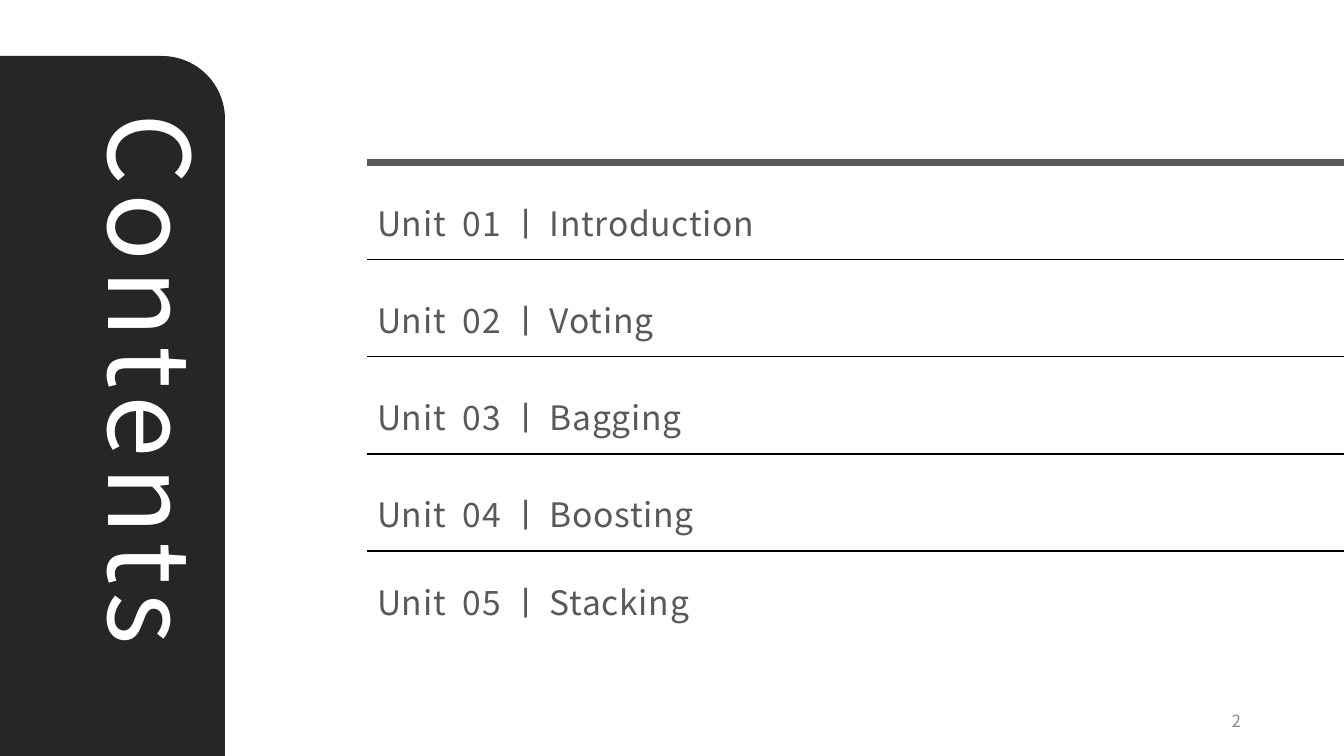
from dataclasses import dataclass

from lxml.etree import SubElement
from pptx import Presentation
from pptx.dml.color import RGBColor
from pptx.enum.shapes import MSO_CONNECTOR, MSO_SHAPE
from pptx.enum.text import MSO_ANCHOR, MSO_AUTO_SIZE, PP_ALIGN
from pptx.oxml.ns import qn
from pptx.util import Emu, Pt

HEADING = "Contents"
UNITS = [
    "Unit  01 ㅣ Introduction",
    "Unit  02 ㅣ Voting",
    "Unit  03 ㅣ Bagging",
    "Unit  04 ㅣ Boosting",
    "Unit  05 ㅣ Stacking",
]
PAGE_NUMBER = "2"


@dataclass(frozen=True)
class Theme:
    font: str = "Noto Sans CJK KR"
    panel: str = "262626"
    heading: str = "FFFFFF"
    unit: str = "595959"
    rule: str = "000000"
    page: str = "8C8C8C"
    heading_size: int = 80
    unit_size: int = 24
    page_size: int = 12


THEME = Theme()

# Layout in px
SLIDE_W, SLIDE_H = 1344, 756
PANEL_W, PANEL_TOP, CORNER = 225, 56, 64
LIST_LEFT, LIST_TOP, LIST_W, LIST_H = 367, 198, 951, 440
FIRST_RULE, ROW_PITCH = 163, 97
# Space between units, in points
UNIT_GAP, LAST_GAP = 40.5, 33.8


def px(length):
    return Emu(round(length * 914400 / 100.8))


def rgb(code):
    return RGBColor.from_string(code)


def place(shape, left, top, width, height):
    shape.left, shape.top = px(left), px(top)
    shape.width, shape.height = px(width), px(height)


def add_text(paragraph, text, size, color, spacing=0):
    """Add one run; spacing is the letter spacing in points."""
    run = paragraph.add_run()
    run.text = text
    run.font.size = Pt(size)
    run.font.color.rgb = rgb(color)
    run.font.name = THEME.font
    properties = run.font._element
    SubElement(properties, qn("a:ea")).set("typeface", THEME.font)
    if spacing:
        properties.set("spc", str(round(spacing * 100)))


def add_panel(slide):
    panel = slide.shapes.add_shape(
        MSO_SHAPE.ROUND_1_RECTANGLE,
        px(0), px(PANEL_TOP), px(PANEL_W), px(SLIDE_H - PANEL_TOP))
    panel.adjustments[0] = round(CORNER / PANEL_W, 2)
    panel.shadow.inherit = False
    panel.fill.solid()
    panel.fill.fore_color.rgb = rgb(THEME.panel)
    panel.line.fill.background()
    # Behind the placeholders
    slide.shapes._spTree.insert(2, panel._element)


def add_heading(title):
    place(title, -199, 382, 703, 146)
    title.rotation = 90
    frame = title.text_frame
    frame.vertical_anchor = MSO_ANCHOR.TOP
    frame.auto_size = MSO_AUTO_SIZE.SHAPE_TO_FIT_TEXT
    paragraph = frame.paragraphs[0]
    paragraph.alignment = PP_ALIGN.LEFT
    add_text(paragraph, HEADING, THEME.heading_size, THEME.heading, 6)


def add_units(body):
    place(body, LIST_LEFT, LIST_TOP, LIST_W, LIST_H)
    frame = body.text_frame
    frame.auto_size = MSO_AUTO_SIZE.NONE
    frame.vertical_anchor = MSO_ANCHOR.TOP
    gaps = [0] + [UNIT_GAP] * (len(UNITS) - 2) + [LAST_GAP]
    for index, (unit, gap) in enumerate(zip(UNITS, gaps)):
        paragraph = frame.add_paragraph() if index else frame.paragraphs[0]
        paragraph.space_before = Pt(gap)
        properties = paragraph._p.get_or_add_pPr()
        properties.set("marL", "0")
        properties.set("indent", "0")
        SubElement(properties, qn("a:buNone"))
        add_text(paragraph, unit, THEME.unit_size, THEME.unit, 0.5)


def add_rules(slide):
    for index in range(len(UNITS)):
        y = px(FIRST_RULE + index * ROW_PITCH)
        rule = slide.shapes.add_connector(
            MSO_CONNECTOR.STRAIGHT, px(LIST_LEFT), y, px(SLIDE_W), y)
        rule.line.color.rgb = rgb(THEME.rule if index else THEME.unit)
        rule.line.width = Pt(0.75 if index else 5)
        SubElement(rule._element.spPr, qn("a:effectLst"))


def add_page_number(slide):
    box = slide.shapes.add_textbox(px(949), px(701), px(302), px(40))
    frame = box.text_frame
    frame.word_wrap = True
    frame.vertical_anchor = MSO_ANCHOR.MIDDLE
    paragraph = frame.paragraphs[0]
    paragraph.alignment = PP_ALIGN.RIGHT
    add_text(paragraph, PAGE_NUMBER, THEME.page_size, THEME.page)


def main():
    deck = Presentation()
    deck.slide_width, deck.slide_height = px(SLIDE_W), px(SLIDE_H)
    slide = deck.slides.add_slide(deck.slide_layouts[1])
    add_panel(slide)
    add_heading(slide.shapes.title)
    add_units(slide.placeholders[1])
    add_rules(slide)
    add_page_number(slide)
    deck.save("out.pptx")


if __name__ == "__main__":
    main()
